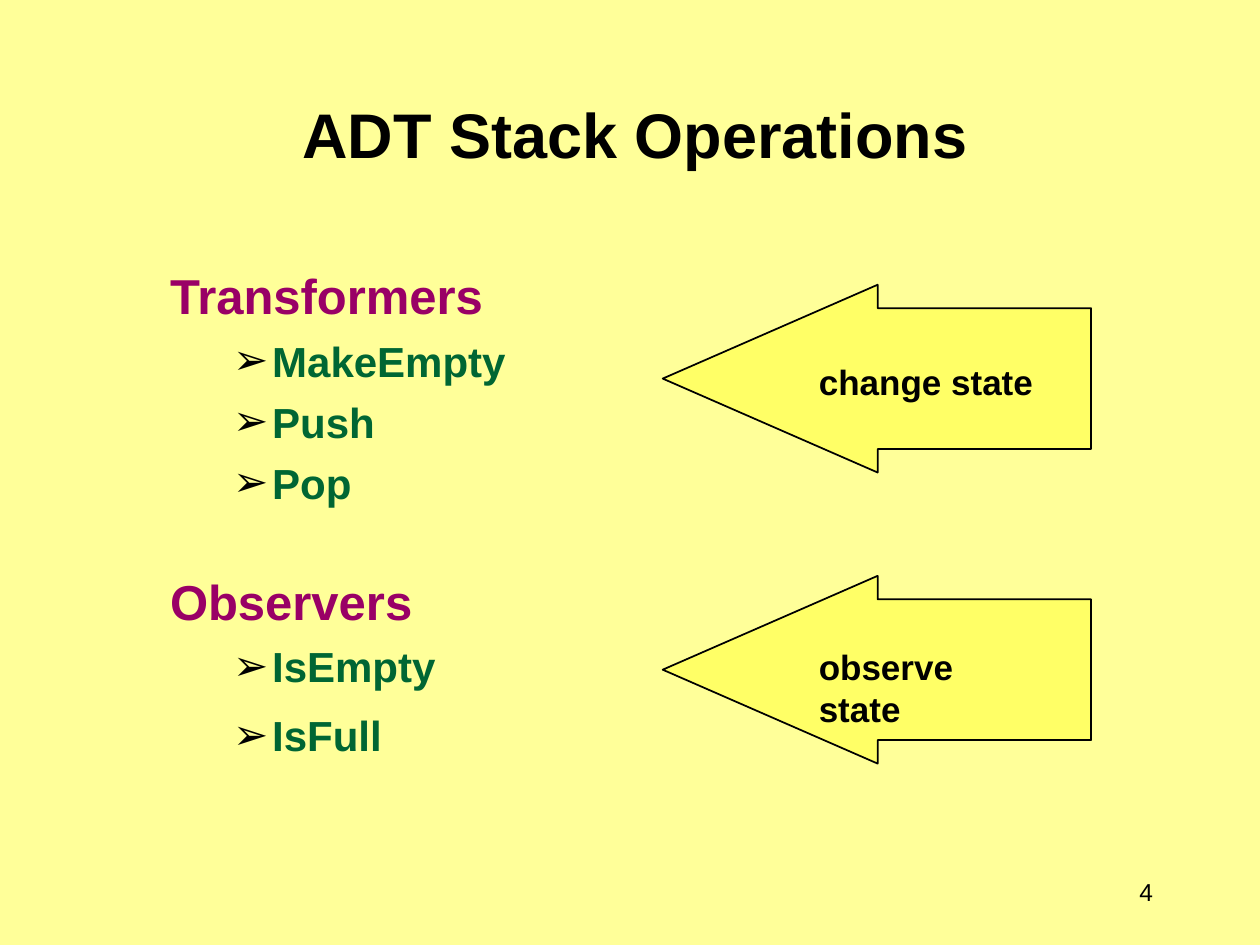
from lxml.etree import SubElement
from pptx import Presentation
from pptx.dml.color import RGBColor
from pptx.enum.shapes import MSO_SHAPE
from pptx.enum.text import MSO_ANCHOR, MSO_AUTO_SIZE, PP_ALIGN
from pptx.oxml.ns import qn
from pptx.util import Inches, Pt

BLACK = RGBColor(0x00, 0x00, 0x00)
PALE = RGBColor(0xFF, 0xFF, 0x99)
YELLOW = RGBColor(0xFF, 0xFF, 0x66)
PLUM = RGBColor(0x99, 0x00, 0x66)
GREEN = RGBColor(0x00, 0x66, 0x33)

GROUPS = [
    ("Transformers", 3, [("MakeEmpty", 6), ("Push", 6), ("Pop", 6)]),
    ("Observers", 36.5, [("IsEmpty", 6), ("IsFull", 10.5)]),
]
ARROWS = [
    ("change state", 2.26, 0.55, 1.99),
    ("observe state", 4.57, 0.5, 1.7),
]


def write(para, text, size=20, color=BLACK, bold=True, align=PP_ALIGN.LEFT, before=0):
    para.alignment = align
    para.space_before = Pt(before)
    run = para.add_run()
    run.text = text
    font = run.font
    font.name = "Arial"
    font.size = Pt(size)
    font.bold = bold
    font.color.rgb = color


def place(shape, left, top, width, height):
    shape.left, shape.top = Inches(left), Inches(top)
    shape.width, shape.height = Inches(width), Inches(height)


def indent(para, margin, hang, mark=None):
    props = para._p.get_or_add_pPr()
    props.set("marL", str(Inches(margin)))
    props.set("indent", str(Inches(-hang)))
    if mark is None:
        SubElement(props, qn("a:buNone"))
        return
    color = SubElement(props, qn("a:buClr"))
    SubElement(color, qn("a:srgbClr")).set("val", str(BLACK))
    SubElement(props, qn("a:buFont")).set("typeface", "Arial")
    SubElement(props, qn("a:buChar")).set("char", mark)


def add_title(slide, left, top, width, height):
    title = slide.shapes.title
    place(title, left, top, width, height)
    frame = title.text_frame
    frame.auto_size = MSO_AUTO_SIZE.NONE
    frame.vertical_anchor = MSO_ANCHOR.BOTTOM
    write(frame.paragraphs[0], "ADT Stack Operations", size=36, align=PP_ALIGN.CENTER)


def add_list(slide, left, top, width, height):
    body = slide.placeholders[1]
    place(body, left, top, width, height)
    frame = body.text_frame
    frame.auto_size = MSO_AUTO_SIZE.NONE
    para = frame.paragraphs[0]
    for head, gap, items in GROUPS:
        if para is None:
            para = frame.add_paragraph()
        write(para, head, size=28, color=PLUM, before=gap)
        indent(para, 0.38, 0.38)
        for item, space in items:
            para = frame.add_paragraph()
            para.level = 1
            write(para, item, size=24, color=GREEN, before=space)
            indent(para, 0.81, 0.31, mark="➢")
        para = None


def add_label(slide, text, left, top, width, height, **style):
    box = slide.shapes.add_textbox(Inches(left), Inches(top), Inches(width), Inches(height))
    frame = box.text_frame
    frame.word_wrap = True
    write(frame.paragraphs[0], text, **style)
    return frame


def add_arrow(slide, text, left, top, drop, wide):
    arrow = slide.shapes.add_shape(
        MSO_SHAPE.LEFT_ARROW, Inches(left), Inches(top), Inches(3.4), Inches(1.49))
    arrow.adjustments[0] = 0.75
    arrow.adjustments[1] = 1.145
    arrow.shadow.inherit = False
    arrow.fill.solid()
    arrow.fill.fore_color.rgb = YELLOW
    arrow.line.color.rgb = BLACK
    arrow.line.width = Pt(1)
    add_label(slide, text, left + 1.14, top + drop, wide, 0.8)


def add_page(slide, left, top, width, height):
    frame = add_label(slide, "4", left, top, width, height,
                      size=14, bold=False, align=PP_ALIGN.RIGHT)
    frame.vertical_anchor = MSO_ANCHOR.MIDDLE


deck = Presentation()
deck.slide_width, deck.slide_height = Inches(10), Inches(7.5)
slide = deck.slides.add_slide(deck.slide_layouts[1])
slide.background.fill.solid()
slide.background.fill.fore_color.rgb = PALE
add_title(slide, 0.33, 0.08, 9.42, 1.33)
add_list(slide, 1.25, 2.06, 7.08, 4.58)
for text, top, drop, wide in ARROWS:
    add_arrow(slide, text, 5.26, top, drop, wide)
add_page(slide, 8.58, 6.83, 0.67, 0.5)
deck.save("out.pptx")
